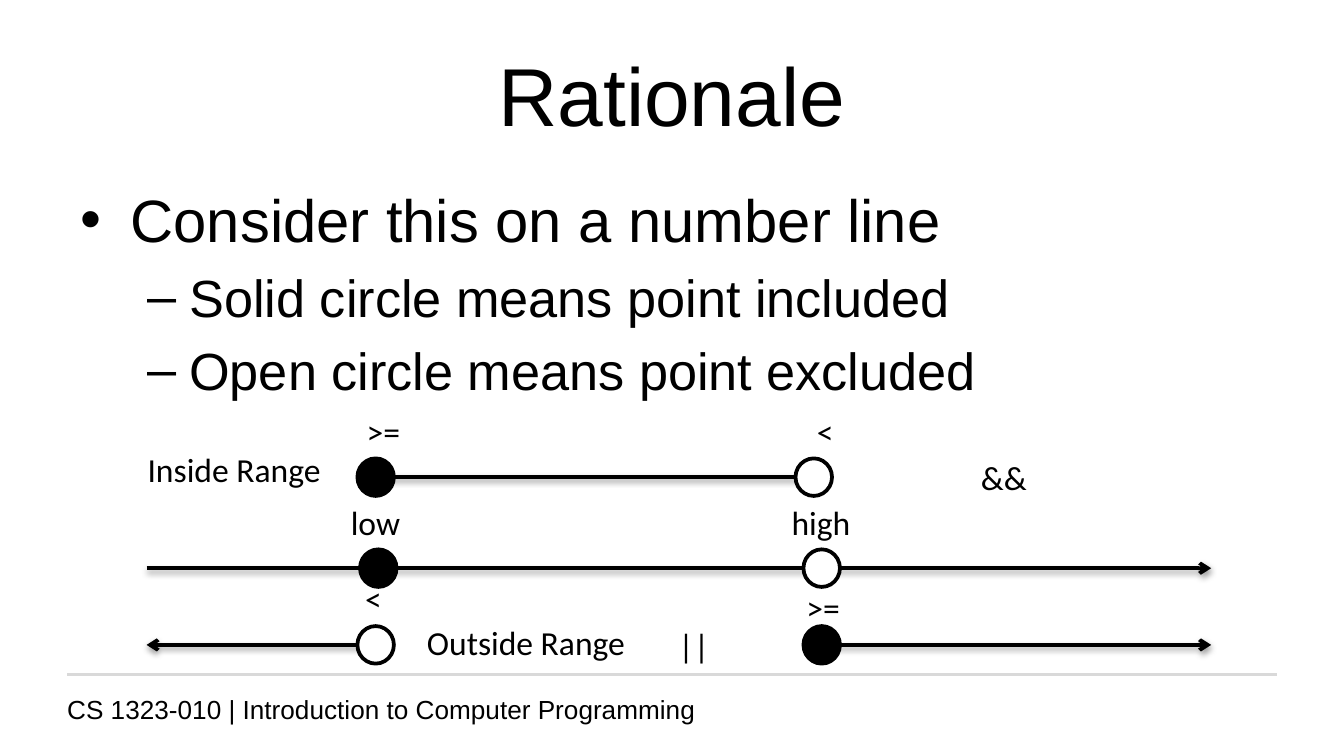
"""Build the number line rationale slide."""
from dataclasses import dataclass

from lxml import etree
from pptx import Presentation
from pptx import util as u
from pptx.dml.color import RGBColor
from pptx.enum import shapes, text
from pptx.oxml import ns

BLACK = RGBColor(0x00, 0x00, 0x00)
WHITE = RGBColor(0xFF, 0xFF, 0xFF)
LIGHT_GRAY = RGBColor(0xD9, 0xD9, 0xD9)

INSIDE_Y, AXIS_Y, OUTSIDE_Y = 9.02, 10.74, 12.19
AXIS_LEFT, AXIS_RIGHT = 2.77, 22.89
LOW_X, HIGH_X = 7.1, 15.5
CIRCLE_WIDTH, CIRCLE_HEIGHT = 0.69, 0.71
LABEL_HEIGHT = 1.02


@dataclass
class Segment:
    start: float
    end: float
    y: float
    arrow: bool = True


@dataclass
class Circle:
    x: float
    y: float
    solid: bool


@dataclass
class Label:
    words: str
    left: float
    top: float
    width: float


@dataclass
class Bullet:
    words: str
    mark: str
    size: int
    margin: float
    hanging: float
    level: int = 0


SEGMENTS = [
    Segment(LOW_X, HIGH_X, INSIDE_Y, arrow=False),
    Segment(AXIS_LEFT, AXIS_RIGHT, AXIS_Y),
    Segment(LOW_X, AXIS_LEFT, OUTSIDE_Y),
    Segment(HIGH_X, AXIS_RIGHT, OUTSIDE_Y),
]
CIRCLES = [
    Circle(LOW_X, INSIDE_Y, True),
    Circle(15.38, INSIDE_Y, False),
    Circle(7.15, AXIS_Y, True),
    Circle(15.53, AXIS_Y, False),
    Circle(LOW_X, OUTSIDE_Y, False),
    Circle(15.53, OUTSIDE_Y, True),
]
LABELS = [
    Label("low", 6.38, 9.37, 1.45),
    Label("high", 14.71, 9.37, 1.63),
    Label("Inside Range", 2.54, 8.36, 3.84),
    Label("&&", 18.29, 8.51, 1.4),
    Label(">=", 6.68, 7.65, 1.14),
    Label("<", 15.19, 7.65, 0.84),
    Label("Outside Range", 7.82, 11.63, 4.29),
    Label("||", 12.57, 11.68, 1.09),
    Label("<", 6.65, 10.8, 0.84),
    Label(">=", 14.99, 10.97, 1.14),
]
BULLETS = [
    Bullet("Consider this on a number line", "•", 32, 0.95, 0.95),
    Bullet("Solid circle means point included", "–", 28, 2.06, 0.79, 1),
    Bullet("Open circle means point excluded", "–", 28, 2.06, 0.79, 1),
]


def add_child(parent, tag: str, **attributes):
    return etree.SubElement(parent, ns.qn(tag), attributes)


def write(paragraph, words: str, *, size: float, font: str = "Arial", align=text.PP_ALIGN.LEFT) -> None:
    paragraph.alignment = align
    run = paragraph.add_run()
    run.text = words
    run.font.size = u.Pt(size)
    run.font.name = font
    run.font.color.rgb = BLACK


def add_text_box(slide, left: float, top: float, width: float, height: float, wrap: bool = True):
    shape = slide.shapes.add_textbox(u.Cm(left), u.Cm(top), u.Cm(width), u.Cm(height))
    shape.text_frame.word_wrap = wrap
    return shape.text_frame


def add_line(slide, segment: Segment, color: RGBColor = BLACK, shadow: bool = True) -> None:
    connector = slide.shapes.add_connector(
        shapes.MSO_CONNECTOR.STRAIGHT,
        u.Cm(segment.start), u.Cm(segment.y), u.Cm(segment.end), u.Cm(segment.y),
    )
    connector.line.color.rgb = color
    connector.line.width = u.Pt(2)
    if segment.arrow:
        add_child(connector.line._get_or_add_ln(), "a:tailEnd", type="arrow")
    effects = add_child(connector._element.spPr, "a:effectLst")
    if shadow:
        outer = add_child(effects, "a:outerShdw", blurRad="40000", dist="20000",
                          dir="5400000", rotWithShape="0")
        shade = add_child(outer, "a:srgbClr", val=str(BLACK))
        add_child(shade, "a:alpha", val="38000")


def add_circle(slide, circle: Circle) -> None:
    shape = slide.shapes.add_shape(
        shapes.MSO_SHAPE.OVAL,
        u.Cm(circle.x - CIRCLE_WIDTH / 2), u.Cm(circle.y - CIRCLE_HEIGHT / 2),
        u.Cm(CIRCLE_WIDTH), u.Cm(CIRCLE_HEIGHT),
    )
    shape.shadow.inherit = False
    shape.fill.solid()
    shape.fill.fore_color.rgb = BLACK if circle.solid else WHITE
    shape.line.color.rgb = BLACK
    shape.line.width = u.Pt(2)


def add_label(slide, label: Label) -> None:
    frame = add_text_box(slide, label.left, label.top, label.width, LABEL_HEIGHT, wrap=False)
    frame.auto_size = text.MSO_AUTO_SIZE.SHAPE_TO_FIT_TEXT
    write(frame.paragraphs[0], label.words, size=18, font="Calibri")


def add_bullets(slide, bullets: list[Bullet]) -> None:
    frame = add_text_box(slide, 1.27, 3.33, 22.86, 9.42)
    for index, bullet in enumerate(bullets):
        paragraph = frame.add_paragraph() if index else frame.paragraphs[0]
        paragraph.level = bullet.level
        properties = paragraph._p.get_or_add_pPr()
        properties.set("marL", str(u.Cm(bullet.margin)))
        properties.set("indent", str(-u.Cm(bullet.hanging)))
        add_child(properties, "a:buFont", typeface="Arial")
        add_child(properties, "a:buChar", char=bullet.mark)
        if index:
            paragraph.space_before = u.Pt(bullet.size * 0.2)
        write(paragraph, bullet.words, size=bullet.size)


def add_title(slide, words: str) -> None:
    title = slide.shapes.title
    title.left, title.top = u.Cm(1.27), u.Cm(0.58)
    title.width, title.height = u.Cm(22.86), u.Cm(2.39)
    title.text_frame.vertical_anchor = text.MSO_ANCHOR.MIDDLE
    write(title.text_frame.paragraphs[0], words, size=44, align=text.PP_ALIGN.CENTER)


def main() -> None:
    presentation = Presentation()
    presentation.slide_width, presentation.slide_height = u.Cm(25.4), u.Cm(14.29)
    slide = presentation.slides.add_slide(presentation.slide_layouts[5])

    footer = add_text_box(slide, 1.02, 12.98, 22.86, 0.53)
    write(footer.paragraphs[0], "CS 1323-010 | Introduction to Computer Programming", size=14)
    add_line(slide, Segment(1.27, 24.13, 12.75, arrow=False), LIGHT_GRAY, shadow=False)
    add_title(slide, "Rationale")
    add_bullets(slide, BULLETS)
    for segment in SEGMENTS:
        add_line(slide, segment)
    for circle in CIRCLES:
        add_circle(slide, circle)
    for label in LABELS:
        add_label(slide, label)

    presentation.save("out.pptx")


if __name__ == "__main__":
    main()
